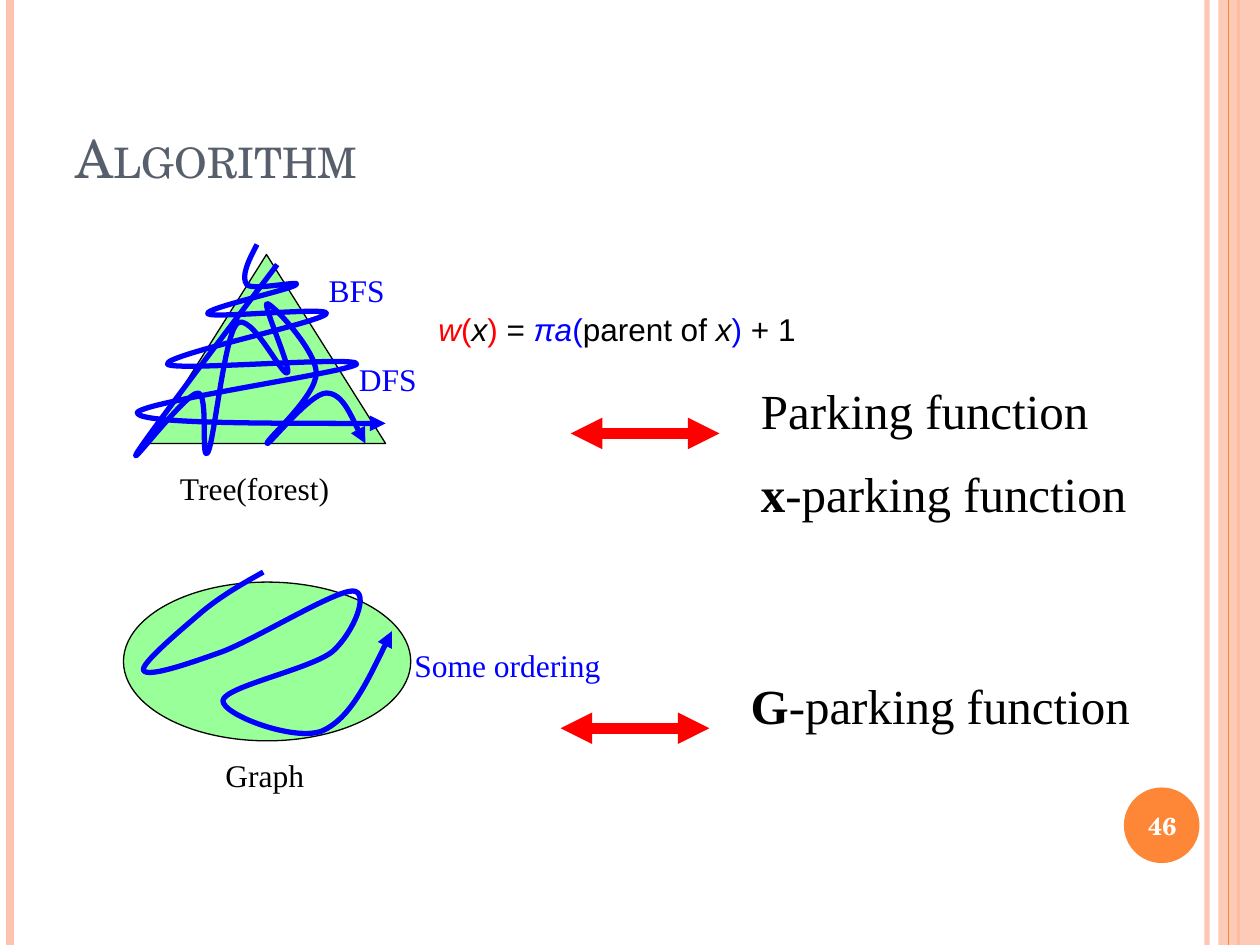
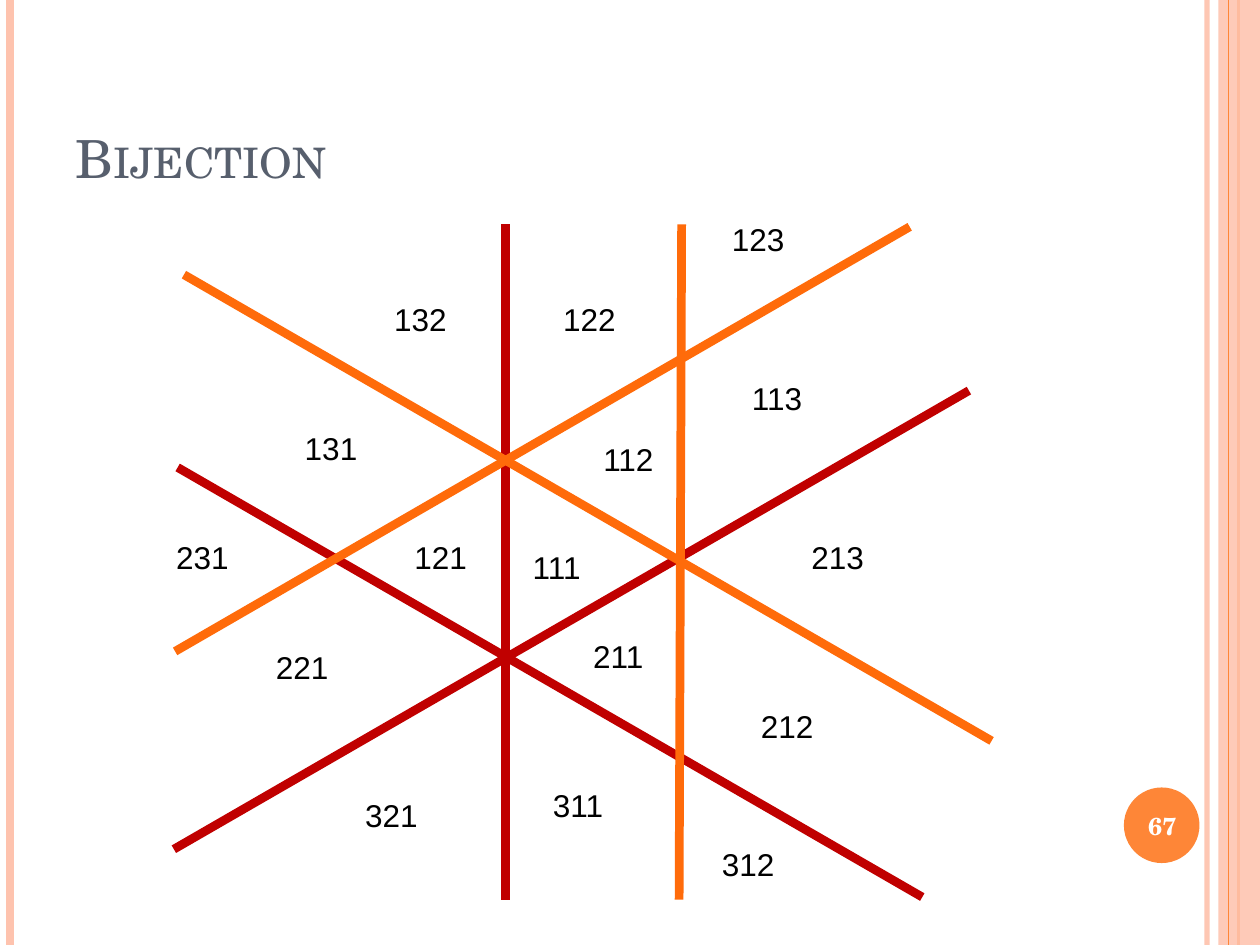
"""Build two slides on parking functions: the tree and graph algorithm, and the region bijection."""
import pptx
import pptx.dml.color
import pptx.enum.shapes
import pptx.enum.text
import pptx.oxml.ns
import pptx.util

Inches = pptx.util.Inches
Pt = pptx.util.Pt
RGBColor = pptx.dml.color.RGBColor
MSO_SHAPE = pptx.enum.shapes.MSO_SHAPE
MSO_CONNECTOR = pptx.enum.shapes.MSO_CONNECTOR
MSO_ANCHOR = pptx.enum.text.MSO_ANCHOR
MSO_AUTO_SIZE = pptx.enum.text.MSO_AUTO_SIZE
PP_ALIGN = pptx.enum.text.PP_ALIGN
qn = pptx.oxml.ns.qn

BLACK = RGBColor(0x00, 0x00, 0x00)
WHITE = RGBColor(0xFF, 0xFF, 0xFF)
PEACH = RGBColor(0xFE, 0xC3, 0xAE)
ORANGE = RGBColor(0xFE, 0x86, 0x37)
SLATE = RGBColor(0x57, 0x5F, 0x6D)
GREEN = RGBColor(0x99, 0xFF, 0x99)
BLUE = RGBColor(0x00, 0x00, 0xFF)
RED = RGBColor(0xFF, 0x00, 0x00)
CRIMSON = RGBColor(0xC0, 0x00, 0x00)
BRIGHT_ORANGE = RGBColor(0xFF, 0x6B, 0x0A)

HEADING_FONT = "TeX Gyre Schola"
SERIF = "Times New Roman"
SANS = "Arial"
UNITS_PER_INCH = 100


def set_alpha(shape, percent):
    """Make the first colour of a shape partly transparent."""
    colour = next(shape._element.spPr.iter(qn("a:srgbClr")))
    colour.append(colour.makeelement(qn("a:alpha"), {"val": str(percent * 1000)}))


def add_arrowheads(shape, *ends):
    """Put triangular heads on the named ends of a line."""
    line = shape._element.spPr.find(qn("a:ln"))
    for end in ends:
        line.append(line.makeelement(qn(f"a:{end}"), {"type": "triangle"}))


def bend(freeform):
    """Turn each three straight segments of an outline into one cubic curve."""
    outline = next(freeform._element.spPr.iter(qn("a:path")))
    segments = outline.findall(qn("a:lnTo"))
    for first in range(0, len(segments), 3):
        cubic = outline.makeelement(qn("a:cubicBezTo"), {})
        for segment in segments[first:first + 3]:
            cubic.append(segment[0])
            outline.remove(segment)
        outline.append(cubic)


class Deck:
    """Hold the shared style and the current slide."""

    def __init__(self):
        """Start an empty deck of 10 by 7.5 inches."""
        self.presentation = pptx.Presentation()
        self.presentation.slide_width = Inches(10)
        self.presentation.slide_height = Inches(7.5)
        self.slide = None

    def new_slide(self, title, number):
        """Add a slide with its side bands, title and page badge."""
        self.slide = self.presentation.slides.add_slide(self.presentation.slide_layouts[5])
        set_alpha(self.line((9.58, 0), (9.58, 7.5), PEACH, 3), 93)
        self.line((0.08, 0), (0.08, 7.5), PEACH, 4.5)
        self.line((9.83, 0), (9.83, 7.5), ORANGE, 1.5)
        set_alpha(self.shape(MSO_SHAPE.RECTANGLE, (9.67, 0, 0.33, 7.5), PEACH), 87)
        self.line((9.75, 0), (9.75, 7.5), ORANGE, 0.75)
        self.shape(MSO_SHAPE.OVAL, (8.92, 6.25, 0.6, 0.6), ORANGE)
        self.title(title)
        badge = self.text((8.89, 6.27, 0.67, 0.57), [number], 14, HEADING_FONT, WHITE)
        badge.text_frame.auto_size = MSO_AUTO_SIZE.NONE
        badge.text_frame.vertical_anchor = MSO_ANCHOR.MIDDLE
        badge.text_frame.paragraphs[0].alignment = PP_ALIGN.CENTER
        badge.text_frame.paragraphs[0].font.bold = True

    def title(self, words):
        """Fill the title placeholder in small capitals."""
        heading = self.slide.shapes.title
        heading.left, heading.top = Inches(0.5), Inches(0.3)
        heading.width, heading.height = Inches(8.17), Inches(1.25)
        frame = heading.text_frame
        frame.text = words
        frame.auto_size = MSO_AUTO_SIZE.NONE
        frame.vertical_anchor = MSO_ANCHOR.BOTTOM
        paragraph = frame.paragraphs[0]
        paragraph.alignment = PP_ALIGN.LEFT
        self.style(paragraph.font, 30, HEADING_FONT, SLATE)
        paragraph.runs[0]._r.get_or_add_rPr().set("cap", "small")

    def style(self, font, size, name, colour):
        """Set the size, family and colour of a font."""
        font.size, font.name = Pt(size), name
        font.color.rgb = colour

    def text(self, at, paragraphs, size, font, colour=BLACK, wrap=True, shapes=None):
        """Add text; a paragraph is a string or a list of (words, font settings)."""
        box = (shapes or self.slide.shapes).add_textbox(*map(Inches, at))
        frame = box.text_frame
        frame.word_wrap = wrap
        frame.auto_size = MSO_AUTO_SIZE.SHAPE_TO_FIT_TEXT
        for index, content in enumerate(paragraphs):
            paragraph = frame.add_paragraph() if index else frame.paragraphs[0]
            if index:
                paragraph.space_before = Pt(size / 2)
            self.style(paragraph.font, size, font, colour)
            for words, settings in [(content, {})] if isinstance(content, str) else content:
                run = paragraph.add_run()
                run.text = words
                run.font.bold = settings.get("bold")
                run.font.italic = settings.get("italic")
                if "colour" in settings:
                    run.font.color.rgb = settings["colour"]
        return box

    def shape(self, preset, at, fill, outline=None):
        """Add a filled preset shape, outlined only if a colour is given."""
        figure = self.slide.shapes.add_shape(preset, *map(Inches, at))
        figure.shadow.inherit = False
        figure.fill.solid()
        figure.fill.fore_color.rgb = fill
        if outline is None:
            figure.line.fill.background()
        else:
            figure.line.color.rgb = outline
            figure.line.width = Pt(0.75)
        return figure

    def line(self, start, end, colour, width):
        """Add a straight line without shadow."""
        stroke = self.slide.shapes.add_connector(
            MSO_CONNECTOR.STRAIGHT, *map(Inches, start + end))
        stroke.line.color.rgb = colour
        stroke.line.width = Pt(width)
        properties = stroke._element.spPr
        properties.append(properties.makeelement(qn("a:effectLst"), {}))
        return stroke

    def double_arrow(self, left, y):
        """Add a thick red arrow pointing both ways."""
        arrow = self.line((left, y), (left + 1.18, y), RED, 6)
        add_arrowheads(arrow, "headEnd", "tailEnd")

    def traversal(self, start, segments, label, at, grouped=True):
        """Add a search order of cubic curves, six coordinates each, and its label."""
        shapes = self.slide.shapes
        if grouped:
            shapes = shapes.add_group_shape().shapes
        points = [start]
        for segment in segments:
            points += zip(segment[::2], segment[1::2])
        points = [(x * UNITS_PER_INCH, y * UNITS_PER_INCH) for x, y in points]
        builder = shapes.build_freeform(*points[0], scale=Inches(1) / UNITS_PER_INCH)
        builder.add_line_segments(points[1:], close=False)
        curve = builder.convert_to_shape()
        bend(curve)
        curve.shadow.inherit = False
        curve.fill.background()
        curve.line.color.rgb = BLUE
        curve.line.width = Pt(3)
        add_arrowheads(curve, "tailEnd")
        self.text(at, [label], 18, SERIF, BLUE, shapes=shapes)


def algorithm_slide(deck):
    """Show searches of trees and graphs beside their parking functions."""
    deck.new_slide("Algorithm", "46")
    deck.shape(MSO_SHAPE.ISOSCELES_TRIANGLE, (1.17, 2.02, 1.89, 1.5), GREEN, BLACK)
    deck.text((1.33, 3.67, 2.68, 0.4), ["Tree(forest)"], 18, SERIF)
    red, blue = {"colour": RED}, {"colour": BLUE}
    italic = {"italic": True}
    weight_rule = [
        ("w", red | italic), ("(", red), ("x", italic), (") ", red), ("= ", {}),
        ("πa", blue | italic), ("(", blue), ("parent of ", {}), ("x", italic),
        (") ", blue), ("+ 1", {})]
    deck.text((3.38, 2.41, 3.12, 0.4), [weight_rule], 18, SANS, wrap=False)
    deck.traversal((2.04, 1.94), [
        (1.97, 2.07, 1.91, 2.2, 1.96, 2.26), (2.01, 2.31, 2.41, 2.22, 2.35, 2.26),
        (2.3, 2.3, 1.61, 2.45, 1.65, 2.49), (1.69, 2.53, 2.64, 2.43, 2.59, 2.49),
        (2.54, 2.56, 1.29, 2.82, 1.33, 2.89), (1.37, 2.95, 2.87, 2.82, 2.83, 2.89),
        (2.79, 2.95, 1.05, 3.2, 1.09, 3.28), (1.13, 3.36, 2.1, 3.36, 3.06, 3.36),
    ], "BFS", (2.51, 2.1, 0.79, 0.4))
    deck.traversal((2.2, 2.1), [
        (1.7, 2.76, 1.2, 3.42, 1.09, 3.59), (0.99, 3.76, 1.47, 3.12, 1.57, 3.12),
        (1.66, 3.12, 1.59, 3.69, 1.65, 3.59), (1.7, 3.5, 1.78, 2.67, 1.88, 2.57),
        (1.99, 2.47, 2.24, 2.99, 2.28, 2.96), (2.32, 2.94, 2.08, 2.41, 2.12, 2.41),
        (2.16, 2.41, 2.51, 2.78, 2.51, 2.96), (2.51, 3.15, 2.11, 3.49, 2.12, 3.52),
        (2.13, 3.54, 2.46, 3.12, 2.59, 3.12), (2.72, 3.12, 2.85, 3.44, 2.9, 3.52),
    ], "DFS", (2.75, 2.81, 1.02, 0.4))
    bold = {"bold": True}
    deck.text((5.94, 2.97, 3.39, 1.27),
              ["Parking function", [("x", bold), ("-parking function", {})]], 28, SERIF)
    deck.double_arrow(4.53, 3.44)
    deck.shape(MSO_SHAPE.OVAL, (0.98, 4.62, 2.28, 1.26), GREEN, BLACK)
    deck.text((1.69, 5.95, 2.68, 0.4), ["Graph"], 18, SERIF)
    deck.traversal((2.09, 4.54), [
        (1.93, 4.63, 1.77, 4.72, 1.61, 4.85), (1.46, 4.98, 1.11, 5.27, 1.14, 5.32),
        (1.17, 5.38, 1.49, 5.27, 1.77, 5.17), (2.05, 5.06, 2.65, 4.69, 2.8, 4.69),
        (2.94, 4.69, 2.81, 5.02, 2.64, 5.17), (2.47, 5.31, 1.78, 5.45, 1.77, 5.56),
        (1.76, 5.67, 2.34, 5.89, 2.56, 5.8), (2.78, 5.7, 2.94, 5.36, 3.11, 5.01),
    ], "Some ordering", (3.19, 5.08, 2.68, 0.4), grouped=False)
    deck.text((5.86, 5.31, 3.39, 0.57), [[("G", bold), ("-parking function", {})]], 28, SERIF)
    deck.double_arrow(4.45, 5.78)


def bijection_slide(deck):
    """Label the regions of a line arrangement with parking functions."""
    deck.new_slide("Bijection", "67")
    arrangement = {
        CRIMSON: [((4.01, 1.78), (4.01, 7.14)), ((7.69, 3.1), (1.38, 6.74)),
                  ((1.41, 3.71), (7.32, 7.12))],
        BRIGHT_ORANGE: [((5.41, 1.78), (5.39, 7.14)), ((7.22, 1.8), (1.39, 5.17)),
                        ((1.46, 2.18), (7.87, 5.88))],
    }
    for colour, hyperplanes in arrangement.items():
        for start, end in hyperplanes:
            deck.line(start, end, colour, 5)
    regions = {
        "111": (4.13, 4.3), "112": (4.69, 3.44), "122": (4.37, 2.33), "113": (5.87, 2.96),
        "123": (5.71, 1.7), "121": (3.19, 4.22), "132": (3.03, 2.33), "131": (2.32, 3.36),
        "211": (4.61, 5.01), "213": (6.34, 4.22), "212": (5.94, 5.56), "312": (5.63, 6.66),
        "311": (4.29, 6.19), "321": (2.8, 6.27), "221": (2.09, 5.09), "231": (1.3, 4.22),
    }
    for region, corner in regions.items():
        width = 0.6 if "11" in region else 0.62
        deck.text((*corner, width, 0.4), [region], 18, SANS, wrap=False)


deck = Deck()
algorithm_slide(deck)
bijection_slide(deck)
deck.presentation.save("out.pptx")
